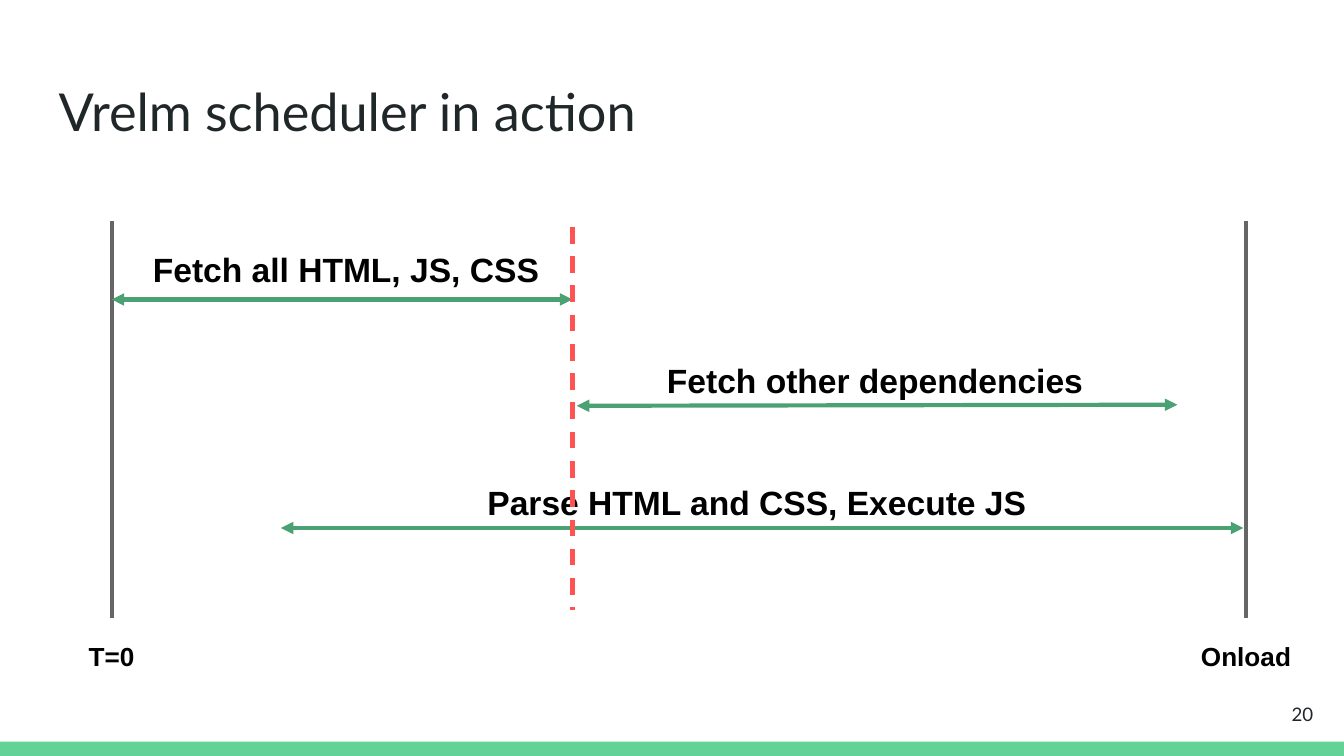
from dataclasses import dataclass

from lxml import etree
from pptx import Presentation
from pptx import util as u
from pptx.dml.color import RGBColor
from pptx.enum import dml, shapes, text
from pptx.oxml import ns


@dataclass(frozen=True)
class Theme:
    ink: str = "202729"
    label: str = "000000"
    bar: str = "63D297"
    arrow: str = "4BA173"
    limit: str = "666666"
    divider: str = "FF5252"
    heading_font: str = "Lato"
    label_font: str = "Arial"
    title_size: int = 28
    label_size: int = 18
    end_size: int = 14
    number_size: int = 10
    line_width: float = 2.25


THEME = Theme()
WIDTH, HEIGHT = 25.4, 14.29
START, SPLIT, ONLOAD = 2.11, 10.82, 23.55


def add_text(target, content, left, top, width, height, size, font, color,
             bold=False, align=text.PP_ALIGN.LEFT, anchor=text.MSO_ANCHOR.TOP):
    box = target.add_textbox(u.Cm(left), u.Cm(top), u.Cm(width), u.Cm(height))
    frame = box.text_frame
    frame.word_wrap = True
    frame.vertical_anchor = anchor
    frame.margin_left = frame.margin_right = u.Cm(0.25)
    frame.margin_top = frame.margin_bottom = u.Cm(0.25)
    para = frame.paragraphs[0]
    para.alignment = align
    span = para.add_run()
    span.text = content
    span.font.size = u.Pt(size)
    span.font.name = font
    span.font.bold = bold
    span.font.color.rgb = RGBColor.from_string(color)


def add_label(target, content, left, top, width, height, size):
    add_text(target, content, left, top, width, height, size, THEME.label_font,
             THEME.label, bold=True, align=text.PP_ALIGN.CENTER)


def add_line(target, x1, y1, x2, y2, color, dashed=False, arrows=False):
    line = target.add_connector(shapes.MSO_CONNECTOR.STRAIGHT,
                                u.Cm(x1), u.Cm(y1), u.Cm(x2), u.Cm(y2))
    line.line.color.rgb = RGBColor.from_string(color)
    line.line.width = u.Pt(THEME.line_width)
    if dashed:
        line.line.dash_style = dml.MSO_LINE.DASH
    if arrows:
        outline = line.line._get_or_add_ln()
        for end in ("a:headEnd", "a:tailEnd"):
            etree.SubElement(outline, ns.qn(end), type="triangle")
    etree.SubElement(line._element.spPr, ns.qn("a:effectLst"))


def add_limit(page, x, name):
    """A vertical time limit with its name centred below."""
    add_line(page.shapes, x, 4.17, x, 11.68, THEME.limit)
    width = 2.49
    add_label(page.shapes, name, x - width / 2, 11.86, width, 1.27, THEME.end_size)


def add_phase(page, name, arrow, left, top, width):
    """A two-headed arrow grouped with the label above it."""
    group = page.shapes.add_group_shape()
    add_line(group.shapes, *arrow, THEME.arrow, arrows=True)
    add_label(group.shapes, name, left, top, width, 1.09, THEME.label_size)


def add_bar(page):
    bar = page.shapes.add_shape(shapes.MSO_SHAPE.RECTANGLE, 0, u.Cm(14.02),
                                u.Cm(WIDTH), u.Cm(HEIGHT - 14.02))
    bar.shadow.inherit = False
    bar.fill.solid()
    bar.fill.fore_color.rgb = RGBColor.from_string(THEME.bar)
    bar.line.fill.background()


def main():
    deck = Presentation()
    deck.slide_width, deck.slide_height = u.Cm(WIDTH), u.Cm(HEIGHT)
    page = deck.slides.add_slide(deck.slide_layouts[6])

    # Footer bar, title and page number
    add_bar(page)
    add_text(page.shapes, "Vrelm scheduler in action", 0.86, 1.24, 23.67, 1.6,
             THEME.title_size, THEME.heading_font, THEME.ink)
    add_text(page.shapes, "20", 23.55, 12.95, 1.52, 1.09, THEME.number_size,
             THEME.heading_font, THEME.ink, align=text.PP_ALIGN.RIGHT,
             anchor=text.MSO_ANCHOR.MIDDLE)

    # Start and end of the page load
    add_limit(page, START, "T=0")
    add_limit(page, ONLOAD, "Onload")

    # Phases, with the divider between the two fetches
    add_phase(page, "Fetch all HTML, JS, CSS ", (START, 5.66, SPLIT, 5.66),
              2.31, 4.45, 8.64)
    add_phase(page, "Parse HTML and CSS, Execute JS", (5.31, 9.98, 23.5, 9.98),
              8.31, 8.86, 11.99)
    add_line(page.shapes, SPLIT, 4.29, SPLIT, 11.53, THEME.divider, dashed=True)
    add_phase(page, "Fetch other dependencies", (10.9, 7.67, 22.25, 7.65),
              12.22, 6.55, 8.64)

    deck.save("out.pptx")


if __name__ == "__main__":
    main()
